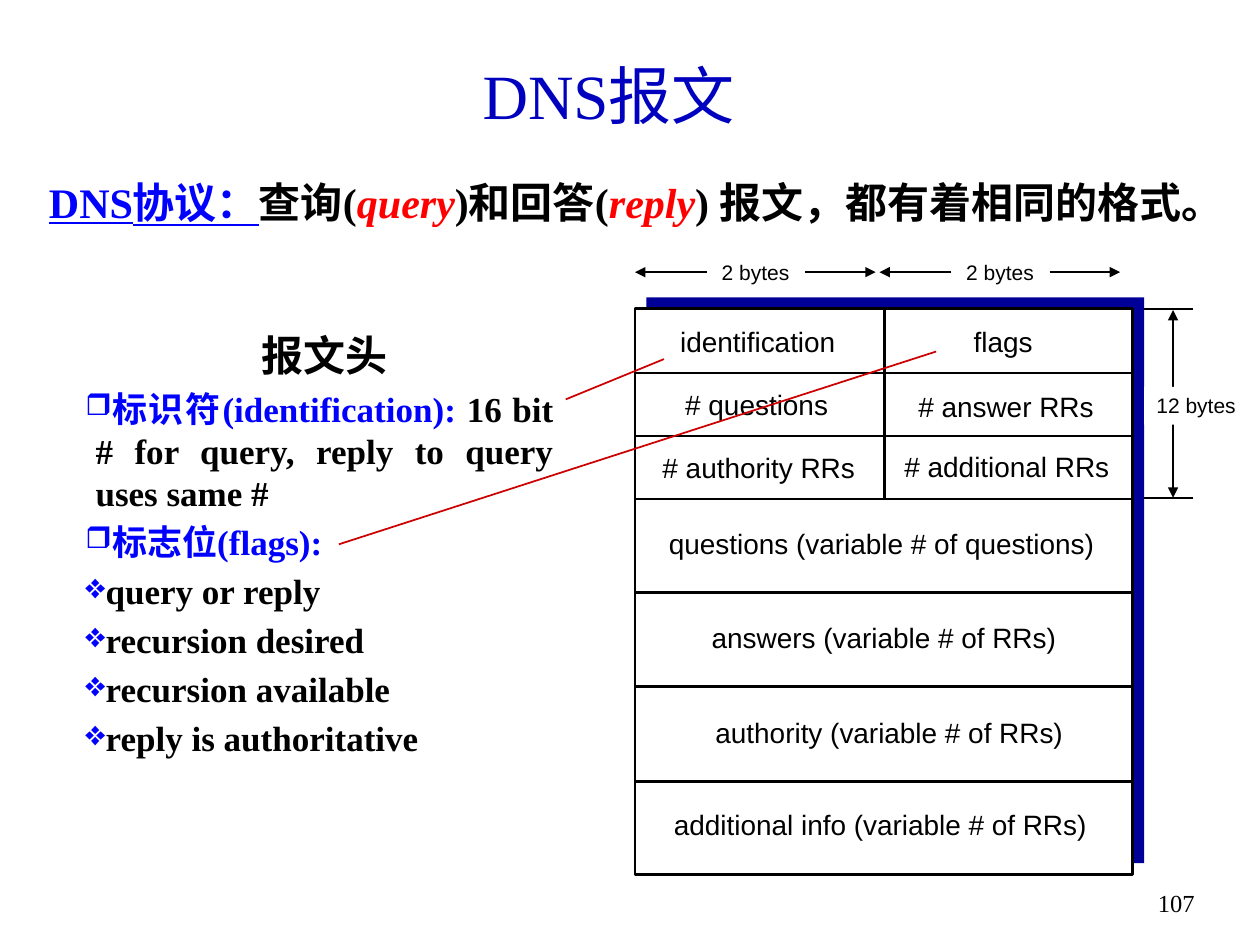
import pptx
import pptx.dml.color
import pptx.enum.shapes
import pptx.enum.text
import pptx.oxml.ns
import pptx.util
import lxml.etree
from pptx.util import Inches

ALIGN = pptx.enum.text.PP_ALIGN
qn = pptx.oxml.ns.qn


class Theme:
    serif, sans = "Times New Roman", "Arial"
    black, white, navy = "000000", "FFFFFF", "000099"
    title, blue, red, pointer = "0000BF", "0000FF", "FF0000", "CC0000"
    title_size, heading_size, body_size = 36, 24, 20
    field_size, number_size, measure_size = 16, 14, 12
    border, thin, hairline = 1.5, 1, 0.75


def add_text(page, at, paragraphs, size, font=Theme.serif, fitted=False):
    """Add a text box; each paragraph is a list of (text, colour, style letters)."""
    box = page.shapes.add_textbox(*map(Inches, at))
    frame = box.text_frame
    frame.word_wrap = not fitted
    if fitted:
        frame.auto_size = pptx.enum.text.MSO_AUTO_SIZE.SHAPE_TO_FIT_TEXT
    for index, runs in enumerate(paragraphs):
        para = frame.add_paragraph() if index else frame.paragraphs[0]
        para.space_before = pptx.util.Pt(size * 0.2)
        for text, colour, style in runs:
            span = para.add_run()
            span.text = text
            span.font.size = pptx.util.Pt(size)
            span.font.name = font
            span.font.color.rgb = pptx.dml.color.RGBColor.from_string(colour)
            span.font.bold = "b" in style
            span.font.italic = "i" in style
            span.font.underline = "u" in style
    return box


def add_line(page, start, end, width, colour=Theme.black, arrows=()):
    """Add a straight line; arrows lists the ends (headEnd, tailEnd) with a triangle."""
    line = page.shapes.add_connector(
        pptx.enum.shapes.MSO_CONNECTOR.STRAIGHT, *map(Inches, start + end))
    line.line.width = pptx.util.Pt(width)
    line.line.color.rgb = pptx.dml.color.RGBColor.from_string(colour)
    for name in arrows:
        lxml.etree.SubElement(line.line._get_or_add_ln(), qn("a:" + name), type="triangle")
    lxml.etree.SubElement(line._element.spPr, qn("a:effectLst"))


deck = pptx.Presentation()
deck.slide_width, deck.slide_height = Inches(10), Inches(7.5)
page = deck.slides.add_slide(deck.slide_layouts[6])

# Page number and title
number = add_text(page, (9.08, 7, 0.5, 0.5), [[("107", Theme.black, "")]], Theme.number_size)
number.text_frame.paragraphs[0].alignment = ALIGN.RIGHT
title = add_text(page, (0.58, 0.25, 8.5, 1), [[("DNS报文", Theme.title, "")]], Theme.title_size)
title.text_frame.vertical_anchor = pptx.enum.text.MSO_ANCHOR.MIDDLE
title.text_frame.paragraphs[0].alignment = ALIGN.CENTER
title.text_frame.paragraphs[0].space_before = 0

# Introduction with a hanging indent; the full stop may not hang past the margin
intro = add_text(page, (0.29, 1.35, 9.59, 0.59), [[
    ("DNS协议：", Theme.blue, "bu"), ("查询(", Theme.black, "b"),
    ("query", Theme.red, "bi"), (")和回答(", Theme.black, "b"),
    ("reply", Theme.red, "bi"), (") 报文，都有着相同的格式。", Theme.black, "b"),
]], Theme.heading_size)
properties = intro.text_frame.paragraphs[0]._p.get_or_add_pPr()
properties.set("marL", str(Inches(0.38)))
properties.set("indent", str(Inches(-0.38)))
properties.set("hangingPunct", "0")

# Header explanation: heading, two main points, four flags
flags = ["query or reply", "recursion desired ", "recursion available", "reply is authoritative"]
notes = add_text(page, (0.58, 2.57, 3.91, 4.2), [
    [("报文头", Theme.black, "b")],
    [("标识符(identification):", Theme.blue, "b"),
     (" 16 bit # for query, reply to query uses same #", Theme.black, "b")],
    [("标志位(flags):", Theme.blue, "b")],
] + [[(flag, Theme.black, "b")] for flag in flags], Theme.body_size)
heading, *points = notes.text_frame.paragraphs
heading.alignment = ALIGN.CENTER
heading.space_before = pptx.util.Pt(Theme.heading_size * 0.2)
heading.runs[0].font.size = pptx.util.Pt(Theme.heading_size)
heading._p.get_or_add_pPr().set("marL", str(Inches(0.08)))
for index, para in enumerate(points):
    mark, percent, para.level = ("❒", 85, 0) if index < 2 else ("❖", 100, 1)
    para.alignment = ALIGN.JUSTIFY
    properties = para._p.get_or_add_pPr()
    properties.set("marL", str(Inches(0.08)))
    properties.set("indent", str(Inches(-0.08)))
    colour = lxml.etree.SubElement(properties, qn("a:buClr"))
    lxml.etree.SubElement(colour, qn("a:srgbClr"), val=Theme.blue)
    lxml.etree.SubElement(properties, qn("a:buSzPct"), val=str(percent * 1000))
    lxml.etree.SubElement(properties, qn("a:buChar"), char=mark)

# Message frame over its offset backing
for left, top, fill in [(5.13, 2.36, Theme.navy), (5.04, 2.45, Theme.white)]:
    frame = page.shapes.add_shape(
        pptx.enum.shapes.MSO_SHAPE.RECTANGLE, *map(Inches, (left, top, 3.95, 4.49)))
    frame.shadow.inherit = False
    frame.fill.solid()
    frame.fill.fore_color.rgb = pptx.dml.color.RGBColor.from_string(fill)
    frame.line.fill.background()
frame.line.width = pptx.util.Pt(Theme.border)
frame.line.color.rgb = pptx.dml.color.RGBColor.from_string(Theme.black)

# Row and column dividers
for y in (2.96, 3.46, 3.96, 4.7, 5.45, 6.2):
    add_line(page, (5.03, y), (9, y), Theme.border)
add_line(page, (7.02, 2.46), (7.02, 3.95), Theme.border)

# Field names
fields = [
    ("identification", 5.3, 2.53, 1.43), ("flags", 7.63, 2.53, 0.67),
    ("# questions", 5.34, 3.03, 1.34), ("# answer RRs", 7.19, 3.04, 1.6),
    ("# authority RRs", 5.16, 3.53, 1.73), ("# additional RRs", 7.08, 3.52, 1.83),
    ("questions (variable # of questions)", 5.21, 4.13, 3.59),
    ("answers (variable # of RRs)", 5.55, 4.88, 2.94),
    ("authority (variable # of RRs)", 5.58, 5.63, 2.97),
    ("additional info (variable # of RRs)", 5.25, 6.36, 3.48),
]
for name, left, top, width in fields:
    add_text(page, (left, top, width, 0.37), [[(name, Theme.black, "")]],
             Theme.field_size, Theme.sans, fitted=True)

# Column widths
for left in (5.04, 6.98):
    add_text(page, (left + 0.59, 2.01, 0.74, 0.3), [[("2 bytes", Theme.black, "")]],
             Theme.measure_size, Theme.sans, fitted=True)
    for start, end in [(1.35, 1.91), (0.57, 0)]:
        add_line(page, (left + start, 2.16), (left + end, 2.16),
                 Theme.hairline, arrows=["tailEnd"])

# Pointers from the explanation to the fields
add_line(page, (4.49, 3.17), (5.27, 2.85), Theme.thin, Theme.pointer)
add_line(page, (2.69, 4.32), (7.43, 2.79), Theme.thin, Theme.pointer)

# Header height
for y in (2.45, 3.95):
    add_line(page, (9.08, y), (9.47, y), Theme.thin)
add_line(page, (9.31, 2.46), (9.31, 3.95), Theme.hairline, arrows=["headEnd", "tailEnd"])
height = add_text(page, (9.08, 3.07, 0.84, 0.3), [[("12 bytes", Theme.black, "")]],
                  Theme.measure_size, Theme.sans, fitted=True)
height.fill.solid()
height.fill.fore_color.rgb = pptx.dml.color.RGBColor.from_string(Theme.white)

deck.save("out.pptx")
